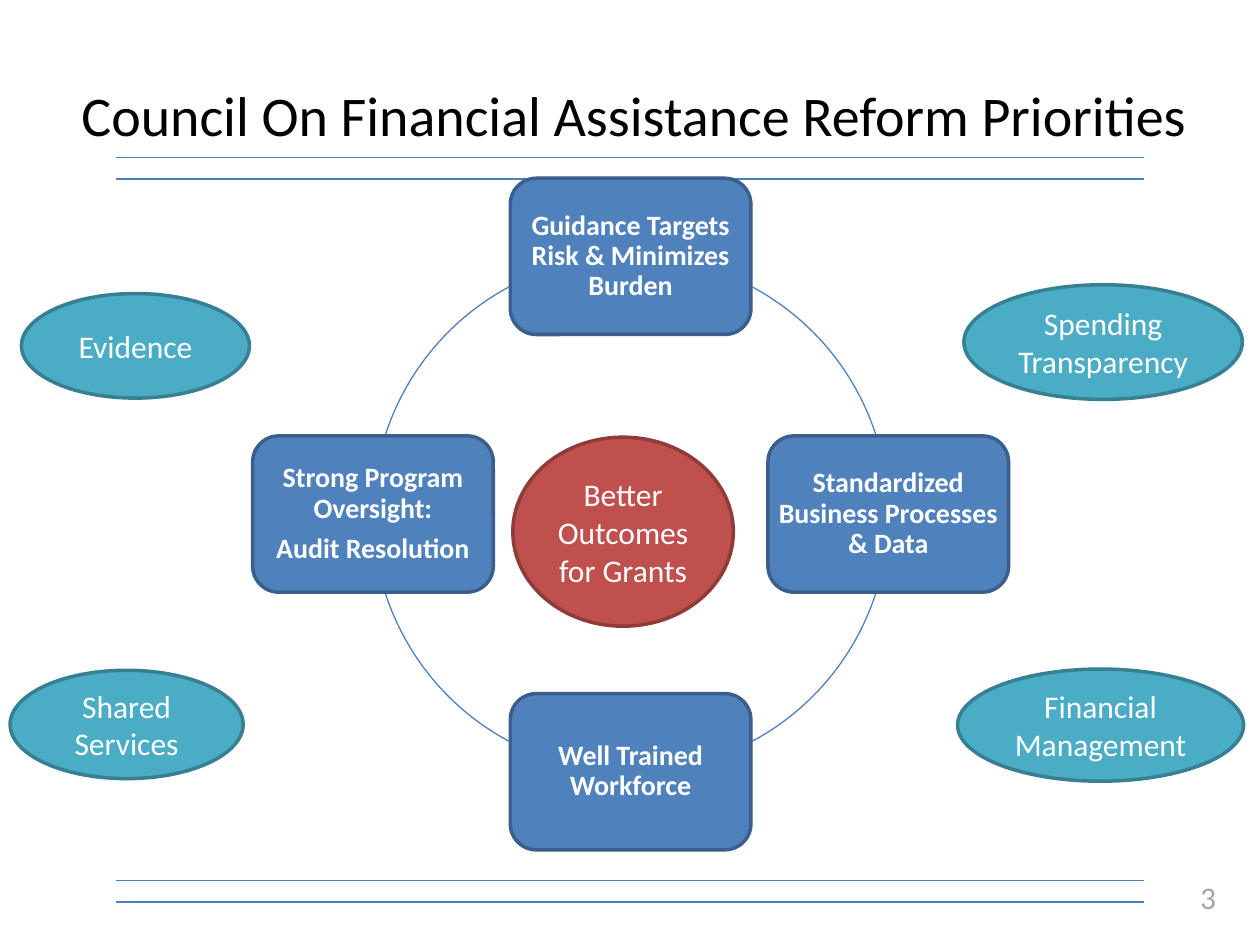
from lxml import etree
from pptx import Presentation
from pptx.dml.color import RGBColor
from pptx.enum.shapes import MSO_CONNECTOR, MSO_SHAPE
from pptx.enum.text import MSO_ANCHOR, PP_ALIGN
from pptx.oxml.ns import qn
from pptx.util import Inches, Pt

ARC, ELLIPSE, ROUNDED = MSO_SHAPE.ARC, MSO_SHAPE.OVAL, MSO_SHAPE.ROUNDED_RECTANGLE
STRAIGHT = MSO_CONNECTOR.STRAIGHT
CENTER, RIGHT = PP_ALIGN.CENTER, PP_ALIGN.RIGHT
MIDDLE, TOP = MSO_ANCHOR.MIDDLE, MSO_ANCHOR.TOP

BLUE, BLUE_EDGE = "4F81BD", "3A5F8C"
RED, RED_EDGE = "C0504D", "8E3B39"
TEAL, TEAL_EDGE = "4BACC6", "377F92"
RULE_BLUE, WHITE, BLACK, GREY = "4B7EBC", "FFFFFF", "000000", "A6A6A6"

prs = Presentation()
prs.slide_width, prs.slide_height = Inches(10), Inches(7.5)
slide = prs.slides.add_slide(prs.slide_layouts[6])
shapes = slide.shapes

# The slide is a grid of 100 columns by 75 rows
COL, ROW = prs.slide_width / 100, prs.slide_height / 75


def box(left, top, width, height):
    """Turn columns and rows of the grid into slide lengths."""
    return [round(n) for n in (left * COL, top * ROW, width * COL, height * ROW)]


def write(shape, lines, size, color, align=CENTER, anchor=MIDDLE):
    frame = shape.text_frame
    frame.word_wrap = True
    frame.vertical_anchor = anchor
    frame.text = lines
    for paragraph in frame.paragraphs:
        paragraph.alignment = align
        paragraph.font.name = "Calibri"
        paragraph.font.size = Pt(size)
        paragraph.font.color.rgb = RGBColor.from_string(color)


# Double rules below the title and above the page number
for row in (69.9, 71.6, 12.5, 14.2):
    left, y, width, _ = box(9.2, row, 81.6, 0)
    rule = shapes.add_connector(STRAIGHT, left, y, left + width, y)
    rule.line.color.rgb = RGBColor.from_string(RULE_BLUE)
    rule.line.width = Pt(0.75)
    etree.SubElement(rule._element.spPr, qn("a:effectLst"))

page_number = shapes.add_textbox(*box(74.2, 69.2, 23.3, 4))
write(page_number, "3", 18, GREY, RIGHT, TOP)

title = shapes.add_textbox(*box(1.9, 2.8, 96.9, 12.5))
write(title, "Council On Financial Assistance Reform Priorities", 32, BLACK)

# Cycle of four priorities, clockwise from the top
CENTER_COL, CENTER_ROW, RADIUS = 50.05, 40.8, 20.45
CARD_WIDTH, CARD_HEIGHT = 19.1, 12.4
priorities = [
    (0, -1, "Guidance Targets Risk & Minimizes Burden"),
    (1, 0, "Standardized Business Processes & Data"),
    (0, 1, "Well Trained Workforce"),
    (-1, 0, "Strong Program Oversight:\nAudit Resolution"),
]
# Start and end of the arc that follows each card, in degrees
arc_angles = [(298.1, 341.9), (18.1, 61.9), (118.1, 161.9), (198.1, 241.9)]

for (across, down, priority), angles in zip(priorities, arc_angles):
    card = shapes.add_shape(ROUNDED, *box(
        CENTER_COL + across * RADIUS - CARD_WIDTH / 2,
        CENTER_ROW + down * RADIUS - CARD_HEIGHT / 2,
        CARD_WIDTH, CARD_HEIGHT))
    card.shadow.inherit = False
    card.fill.solid()
    card.fill.fore_color.rgb = RGBColor.from_string(BLUE)
    card.line.color.rgb = RGBColor.from_string(BLUE_EDGE)
    card.line.width = Pt(2)
    write(card, priority, 16, WHITE)
    frame = card.text_frame
    frame.margin_left = frame.margin_right = Inches(0.01)
    frame.margin_top = frame.margin_bottom = Inches(0.01)
    for paragraph in frame.paragraphs:
        paragraph.font.bold = True
        paragraph.line_spacing = 0.9
        paragraph.space_after = Pt(5.6)

    arc = shapes.add_shape(ARC, *box(
        CENTER_COL - RADIUS, CENTER_ROW - RADIUS, 2 * RADIUS, 2 * RADIUS))
    arc.shadow.inherit = False
    arc.fill.background()
    arc.line.color.rgb = RGBColor.from_string(BLUE)
    arc.line.width = Pt(0.75)
    for i, angle in enumerate(angles):
        arc.adjustments[i] = angle * 0.6  # 60000 units a degree, scaled by 100000

# Goal in the middle and supporting themes in the corners
themes = [
    ("Better Outcomes for Grants", 40.7, 34.7, 17.5, 15, RED, RED_EDGE),
    ("Evidence", 1.7, 23.3, 18.1, 8.3, TEAL, TEAL_EDGE),
    ("Spending Transparency", 76.5, 22.6, 22.1, 9.1, TEAL, TEAL_EDGE),
    ("Shared Services", 0.8, 53.2, 18.5, 8.6, TEAL, TEAL_EDGE),
    ("Financial Management", 76, 53.1, 22.7, 8.9, TEAL, TEAL_EDGE),
]
for theme, left, top, width, height, color, edge in themes:
    bubble = shapes.add_shape(ELLIPSE, *box(left, top, width, height))
    bubble.shadow.inherit = False
    bubble.fill.solid()
    bubble.fill.fore_color.rgb = RGBColor.from_string(color)
    bubble.line.color.rgb = RGBColor.from_string(edge)
    bubble.line.width = Pt(2)
    write(bubble, theme, 18, WHITE)

prs.save("out.pptx")
